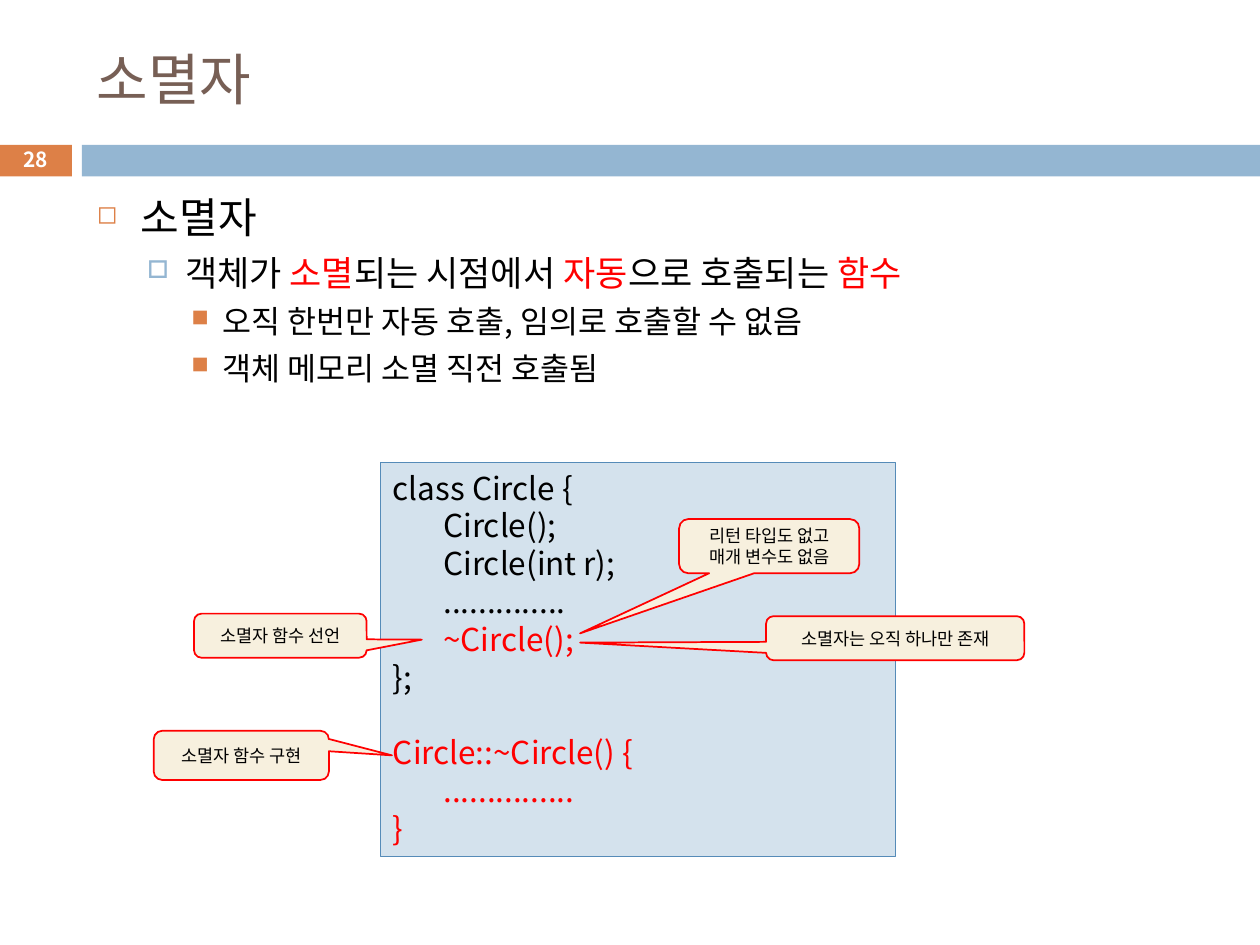
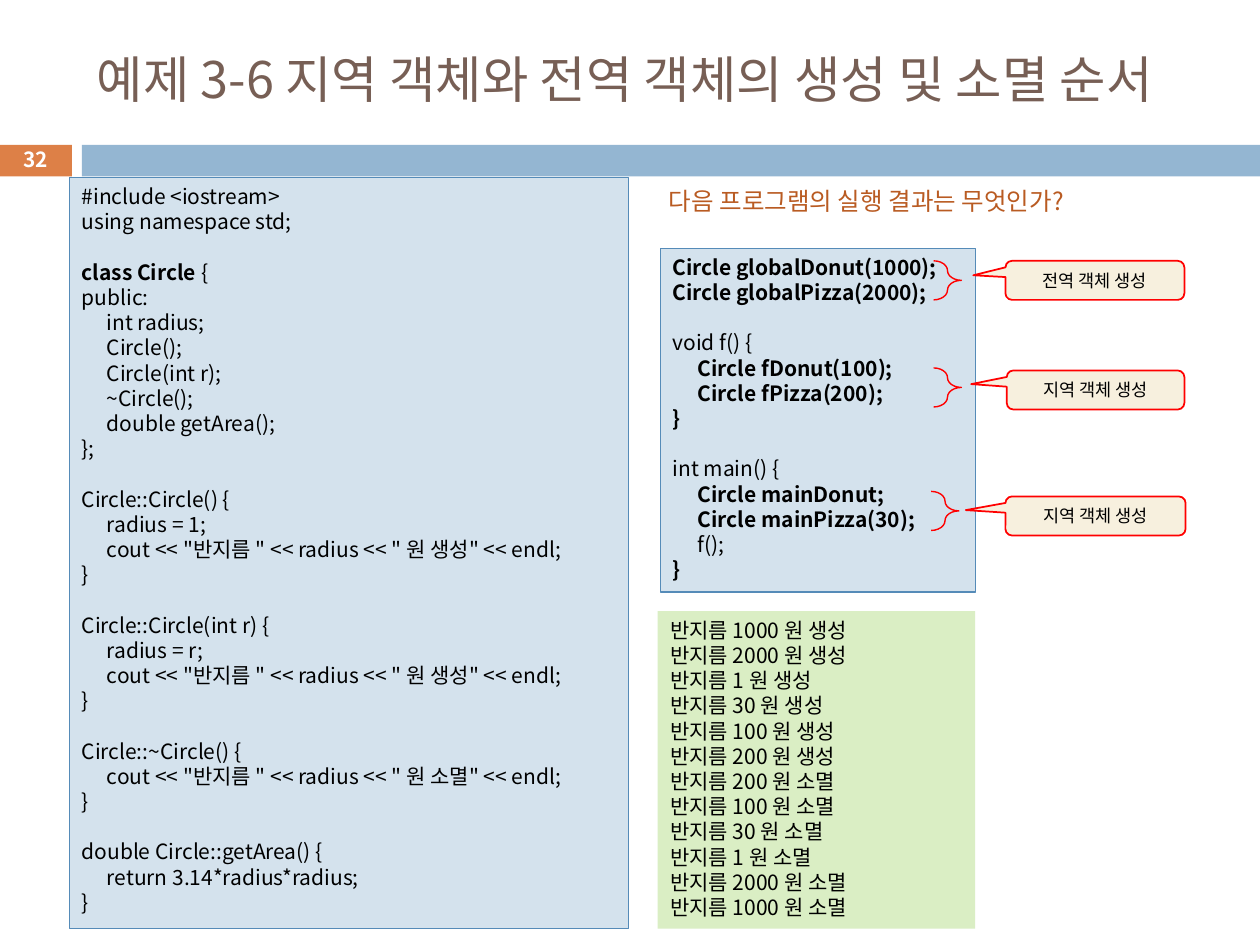
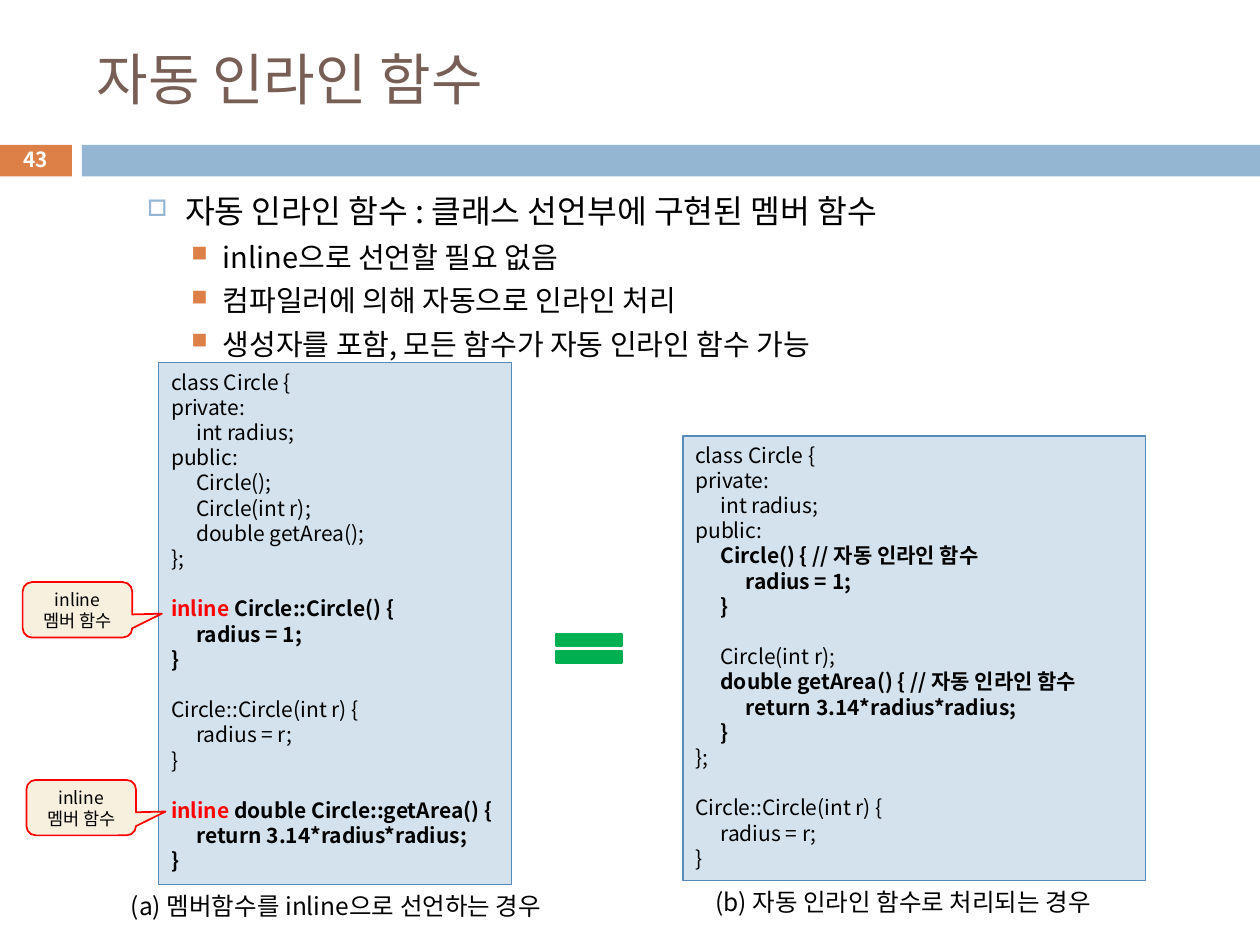
"""Build three lecture slides on C++ destructors, object lifetime and inline functions."""
from dataclasses import dataclass
from typing import Any, NamedTuple, Optional

import pptx
import pptx.dml.color
import pptx.enum.shapes
import pptx.enum.text
import pptx.oxml.ns
import pptx.util
from lxml import etree

Inches = pptx.util.Inches
Pt = pptx.util.Pt
SHAPE = pptx.enum.shapes.MSO_SHAPE
ANCHOR = pptx.enum.text.MSO_ANCHOR
ALIGN = pptx.enum.text.PP_ALIGN


@dataclass(frozen=True)
class Theme:
    font: str = "Noto Sans CJK KR"
    black: str = "000000"
    white: str = "FFFFFF"
    red: str = "FF0000"
    title: str = "775F55"
    orange: str = "DD8047"
    blue: str = "94B6D2"
    code_fill: str = "D4E2ED"
    code_line: str = "558BB8"
    note_fill: str = "F7F0DE"
    output_fill: str = "DAEEC4"
    question: str = "B95B22"
    green: str = "00B050"
    title_size: float = 32
    long_title_size: float = 28.8
    number_size: float = 11.9
    code_size: float = 12
    big_code_size: float = 18
    note_size: float = 10
    caption_size: float = 14
    leading: float = 1.2
    tab: float = 0.2


T = Theme()


class Box(NamedTuple):
    x: float
    y: float
    w: float
    h: float


class Run(NamedTuple):
    text: str
    color: str = T.black
    bold: bool = False


Line = tuple[Run, ...]


class Level(NamedTuple):
    indent: float
    hanging: float
    before: float
    mark: str
    color: str
    percent: int


class Bullet(NamedTuple):
    level: int
    size: float
    line: Line


class Callout(NamedTuple):
    box: Box
    text: str
    tip: tuple[float, float]


LEVELS = (
    Level(0.35, 0.35, 7, "◻", T.orange, 60),
    Level(0.7, 0.3, 5.5, "□", T.blue, 70),
    Level(1, 0.25, 5, "■", T.orange, 75),
)


def apply(obj: Any, values: dict[str, Any]) -> None:
    """Set each named attribute on an object."""
    for name, value in values.items():
        setattr(obj, name, value)


def rgb(color: str) -> pptx.dml.color.RGBColor:
    """Turn a hex string into a colour."""
    return pptx.dml.color.RGBColor.from_string(color)


def sub(parent: Any, tag: str, **attrs: str) -> Any:
    """Append a drawing element to a parent."""
    return etree.SubElement(parent, pptx.oxml.ns.qn(tag), attrs)


def block(text: str, color: str = T.black, bold: bool = False) -> list[Line]:
    """Split text into lines of one style, with tabs for four-space indents."""
    return [(Run(row.replace("    ", "\t"), color, bold),) if row else ()
            for row in text.strip("\n").split("\n")]


def add_runs(p: Any, line: Line, size: float) -> None:
    """Fill a paragraph with styled runs."""
    p.line_spacing = Pt(size * T.leading)
    for run in line:
        r = p.add_run()
        r.text = run.text
        apply(r.font, {"name": T.font, "size": Pt(size), "bold": run.bold})
        r.font.color.rgb = rgb(run.color)
        sub(r.font._element, "a:ea", typeface=T.font)


def paragraphs(tf: Any, count: int) -> list[Any]:
    """Return the first paragraph and as many new ones as needed."""
    return [tf.paragraphs[0]] + [tf.add_paragraph() for _ in range(count - 1)]


def add_lines(sp: Any, lines: list[Line], size: float, anchor: Any = ANCHOR.TOP,
              align: Any = ALIGN.LEFT, tabs: bool = False) -> None:
    """Write lines into a shape."""
    tf = sp.text_frame
    apply(tf, {"word_wrap": True, "vertical_anchor": anchor})
    for p, line in zip(paragraphs(tf, len(lines)), lines):
        if tabs:
            stops = sub(p._p.get_or_add_pPr(), "a:tabLst")
            for stop in (1, 2):
                sub(stops, "a:tab", pos=str(int(Inches(T.tab * stop))), algn="l")
        p.alignment = align
        add_runs(p, line, size)


def add_shape(s: Any, kind: Any, box: Box, fill: Optional[str] = None,
              line: Optional[str] = None, width: float = 1,
              adjust: tuple[float, ...] = ()) -> Any:
    """Draw a flat preset shape."""
    sp = s.shapes.add_shape(kind, *map(Inches, box))
    sp.shadow.inherit = False
    for i, value in enumerate(adjust):
        sp.adjustments[i] = value
    if fill:
        sp.fill.solid()
        sp.fill.fore_color.rgb = rgb(fill)
    else:
        sp.fill.background()
    if line:
        sp.line.color.rgb = rgb(line)
        sp.line.width = Pt(width)
    else:
        sp.line.fill.background()
    return sp


def add_text(s: Any, box: Box, text: str, size: float, color: str = T.black,
             bold: bool = False, **layout: Any) -> None:
    """Add a text box in one style."""
    add_lines(s.shapes.add_textbox(*map(Inches, box)), block(text, color, bold), size, **layout)


def add_code(s: Any, box: Box, lines: list[Line], size: float = T.code_size) -> None:
    """Add a framed code listing."""
    sp = add_shape(s, SHAPE.RECTANGLE, box, T.code_fill, T.code_line, 0.75)
    add_lines(sp, lines, size, tabs=True)


def add_callout(s: Any, note: Callout) -> None:
    """Add a red callout pointing at the code."""
    sp = add_shape(s, SHAPE.ROUNDED_RECTANGULAR_CALLOUT, note.box, T.note_fill, T.red,
                   adjust=(*note.tip, 0.17))
    add_lines(sp, block(note.text), T.note_size, ANCHOR.MIDDLE, ALIGN.CENTER)


def add_bullets(s: Any, box: Box, bullets: list[Bullet]) -> None:
    """Add the outline text with its level marks."""
    tf = s.shapes.add_textbox(*map(Inches, box)).text_frame
    tf.word_wrap = True
    for i, (p, bullet) in enumerate(zip(paragraphs(tf, len(bullets)), bullets)):
        level = LEVELS[bullet.level]
        pPr = p._p.get_or_add_pPr()
        pPr.set("marL", str(int(Inches(level.indent))))
        pPr.set("indent", str(-int(Inches(level.hanging))))
        sub(sub(pPr, "a:buClr"), "a:srgbClr", val=level.color)
        sub(pPr, "a:buSzPct", val=str(level.percent * 1000))
        sub(pPr, "a:buChar", char=level.mark)
        apply(p, {"level": bullet.level, "space_before": Pt(level.before if i else 0)})
        add_runs(p, bullet.line, bullet.size)


def add_slide(prs: Any, title: str, number: int, size: float = T.title_size) -> Any:
    """Start a slide with its title, band and number."""
    s = prs.slides.add_slide(prs.slide_layouts[6])
    add_shape(s, SHAPE.RECTANGLE, Box(-0.01, 1.15, 0.58, 0.25), T.orange)
    add_shape(s, SHAPE.RECTANGLE, Box(0.65, 1.15, 9.35, 0.25), T.blue)
    add_text(s, Box(0.67, 0.25, 8.92, 0.74), title, size, T.title, anchor=ANCHOR.MIDDLE)
    add_text(s, Box(-0.01, 1.13, 0.58, 0.27), str(number), T.number_size, T.white, True,
             anchor=ANCHOR.MIDDLE, align=ALIGN.CENTER)
    return s


def destructor_slide(prs: Any) -> None:
    """Introduce the destructor."""
    s = add_slide(prs, "소멸자", 28)
    add_bullets(s, Box(0.67, 1.47, 8.92, 2.44), [
        Bullet(0, 24, (Run("소멸자"),)),
        Bullet(1, 20, (Run("객체가 "), Run("소멸", T.red), Run("되는 시점에서 "),
                       Run("자동", T.red), Run("으로 호출되는 "), Run("함수", T.red))),
        Bullet(2, 18, (Run("오직 한번만 자동 호출, 임의로 호출할 수 없음"),)),
        Bullet(2, 18, (Run("객체 메모리 소멸 직전 호출됨"),)),
    ])
    declaration = block("""
class Circle {
        Circle();
        Circle(int r);
        ..............
""")
    body = block("""
Circle::~Circle() {
        ...............
}
""", T.red)
    add_code(s, Box(3.02, 3.67, 4.09, 3.13),
             declaration + block("        ~Circle();", T.red) + block("};") + [()] + body,
             T.big_code_size)
    for note in (
        Callout(Box(5.39, 4.12, 1.43, 0.43), "리턴 타입도 없고 매개 변수도 없음", (-1.05, 1.61)),
        Callout(Box(1.54, 4.87, 1.37, 0.35), "소멸자 함수 선언", (0.82, 0.09)),
        Callout(Box(6.08, 4.89, 2.05, 0.35), "소멸자는 오직 하나만 존재", (-1.22, 0.1)),
        Callout(Box(1.22, 5.8, 1.39, 0.39), "소멸자 함수 구현", (0.86, 0)),
    ):
        add_callout(s, note)


def lifetime_slide(prs: Any) -> None:
    """Show the order in which local and global objects live and die."""
    s = add_slide(prs, "예제 3-6 지역 객체와 전역 객체의 생성 및 소멸 순서", 32, T.long_title_size)
    class_code = block("""
#include <iostream>
using namespace std;
""") + [(), (Run("class Circle ", bold=True), Run("{"))] + block("""
public:
    int radius;
    Circle();
    Circle(int r);
    ~Circle();
    double getArea();
};

Circle::Circle() {
    radius = 1;
    cout << "반지름 " << radius << " 원 생성" << endl;
}

Circle::Circle(int r) {
    radius = r;
    cout << "반지름 " << radius << " 원 생성" << endl;
}

Circle::~Circle() {
    cout << "반지름 " << radius << " 원 소멸" << endl;
}

double Circle::getArea() {
    return 3.14*radius*radius;
}
""")
    add_code(s, Box(0.55, 1.41, 4.44, 5.96), class_code)
    main_code = block("""
Circle globalDonut(1000);
Circle globalPizza(2000);
""", bold=True) + [()] + block("void f() {") + block("""
    Circle fDonut(100);
    Circle fPizza(200);
}
""", bold=True) + [()] + block("int main() {") + block("""
    Circle mainDonut;
    Circle mainPizza(30);
""", bold=True) + block("    f();") + block("}", bold=True)
    add_code(s, Box(5.24, 1.97, 2.5, 2.73), main_code)
    radii = (1000, 2000, 1, 30, 100, 200)
    output = [f"반지름 {radius} 원 생성" for radius in radii]
    output += [f"반지름 {radius} 원 소멸" for radius in reversed(radii)]
    sp = add_shape(s, SHAPE.RECTANGLE, Box(5.22, 4.85, 2.52, 2.52), T.output_fill)
    add_lines(sp, block("\n".join(output)), T.code_size)
    for note in (
        Callout(Box(7.98, 2.07, 1.42, 0.31), "전역 객체 생성", (-0.68, -0.13)),
        Callout(Box(7.99, 2.94, 1.41, 0.31), "지역 객체 생성", (-0.7, -0.15)),
        Callout(Box(7.98, 3.94, 1.43, 0.31), "지역 객체 생성", (-0.72, -0.15)),
    ):
        add_callout(s, note)
    for x, y in ((7.41, 2.07), (7.41, 2.92), (7.39, 3.9)):
        add_shape(s, SHAPE.RIGHT_BRACE, Box(x, y, 0.22, 0.31), line=T.red, width=0.79,
                  adjust=(0.44, 0.5))
    add_text(s, Box(5.21, 1.43, 4.35, 0.34), "다음 프로그램의 실행 결과는 무엇인가?",
             T.caption_size, T.question)


def inline_slide(prs: Any) -> None:
    """Compare declared and automatic inline functions."""
    s = add_slide(prs, "자동 인라인 함수", 43)
    details = ("inline으로 선언할 필요 없음", "컴파일러에 의해 자동으로 인라인 처리",
               "생성자를 포함, 모든 함수가 자동 인라인 함수 가능")
    add_bullets(s, Box(0.67, 1.47, 8.92, 1.41), [
        Bullet(1, 18.5, (Run("자동 인라인 함수 : 클래스 선언부에 구현된 멤버 함수"),)),
        *(Bullet(2, 16.6, (Run(text),)) for text in details),
    ])
    head = block("""
class Circle {
private:
    int radius;
public:
""")
    constructor = block("""
Circle::Circle(int r) {
    radius = r;
}
""")
    automatic = head + block("""
    Circle() { // 자동 인라인 함수
        radius = 1;
    }
""", bold=True) + [()] + block("    Circle(int r);") + block("""
    double getArea() { // 자동 인라인 함수
        return 3.14*radius*radius;
    }
""", bold=True) + block("};") + [()] + constructor
    add_code(s, Box(5.42, 3.46, 3.67, 3.53), automatic)
    keyword = Run("inline", T.red, True)
    declared = head + block("""
    Circle();
    Circle(int r);
    double getArea();
};
""") + [(), (keyword, Run(" Circle::Circle() {", bold=True))] + block("""
    radius = 1;
}
""", bold=True) + [()] + constructor + [
        (), (keyword, Run(" double Circle::getArea() {", bold=True))] + block("""
    return 3.14*radius*radius;
}
""", bold=True)
    add_code(s, Box(1.26, 2.88, 2.8, 4.14), declared)
    add_text(s, Box(0.94, 7.02, 3.73, 0.34), "(a) 멤버함수를 inline으로 선언하는 경우",
             T.caption_size)
    add_text(s, Box(5.58, 6.99, 3.53, 0.34), "(b) 자동 인라인 함수로 처리되는 경우",
             T.caption_size)
    add_shape(s, SHAPE.MATH_EQUAL, Box(4.32, 4.95, 0.71, 0.39), T.green, T.green, 1.5)
    for x, y in ((0.21, 6.19), (0.18, 4.62)):
        add_callout(s, Callout(Box(x, y, 0.87, 0.44), "inline\n멤버 함수", (0.77, 0.07)))


def main() -> None:
    """Build and save the presentation."""
    prs = pptx.Presentation()
    apply(prs, {"slide_width": Inches(10), "slide_height": Inches(7.5)})
    for build in (destructor_slide, lifetime_slide, inline_slide):
        build(prs)
    prs.save("out.pptx")


if __name__ == "__main__":
    main()
